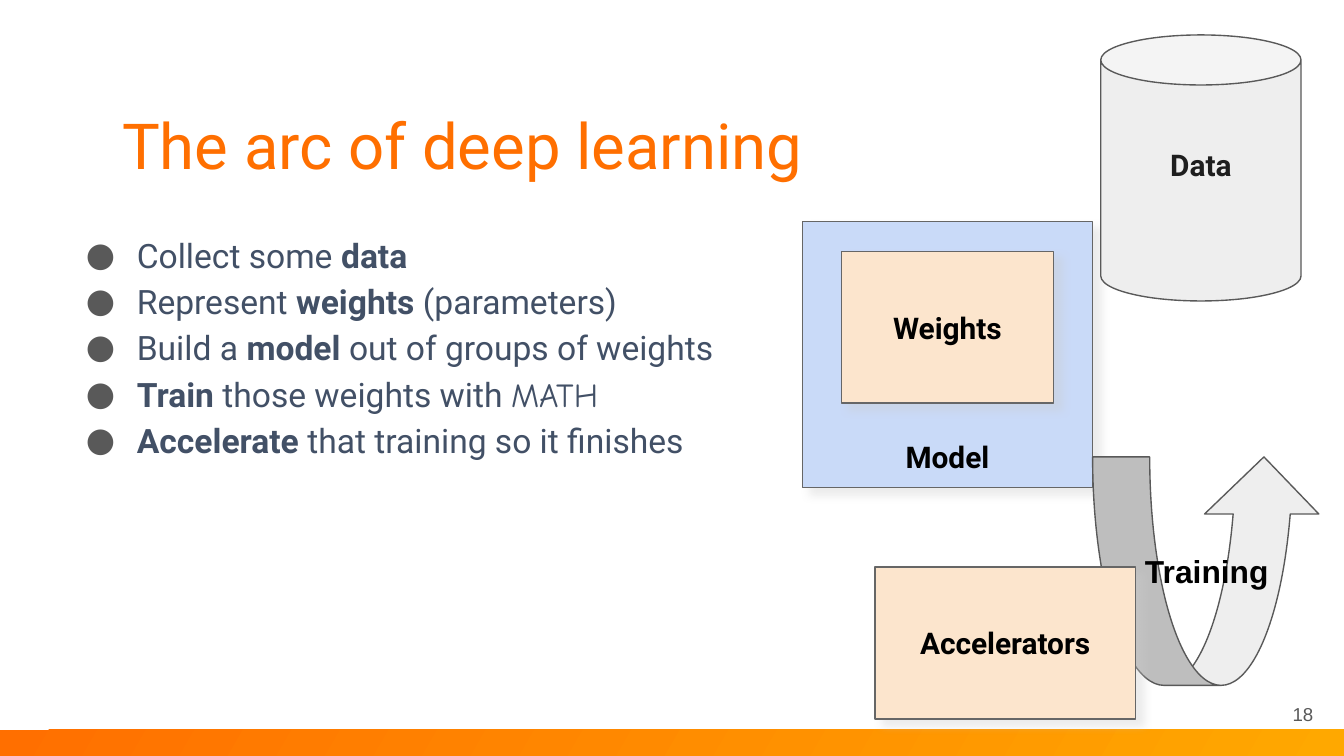
from lxml.etree import SubElement
from pptx import Presentation
from pptx.dml.color import RGBColor
from pptx.enum.shapes import MSO_SHAPE as Shape
from pptx.enum.text import MSO_ANCHOR as Anchor, PP_ALIGN as Align
from pptx.oxml.ns import qn
from pptx.util import Inches, Pt

ORANGE = RGBColor(0xFF, 0x6F, 0x00)
AMBER = RGBColor(0xFF, 0xA8, 0x00)
SLATE = RGBColor(0x42, 0x50, 0x66)
BLACK = RGBColor(0x00, 0x00, 0x00)
INK = RGBColor(0x1E, 0x1E, 0x1E)
GRAY = RGBColor(0x59, 0x59, 0x59)
EDGE = RGBColor(0x66, 0x66, 0x66)
SHADE = RGBColor(0xCC, 0xCC, 0xCC)
PALE = RGBColor(0xEE, 0xEE, 0xEE)
BLUE = RGBColor(0xC9, 0xDA, 0xF8)
PEACH = RGBColor(0xFC, 0xE5, 0xCD)

BULLETS = [
    [("Collect some", False), (" data", True)],
    [("Represent ", False), ("weights ", True), ("(parameters)", False)],
    [("Build a ", False), ("model ", True), ("out of groups of weights", False)],
    [("Train", True), (" those weights with ", False), ("MATH", False, "Comic Neue")],
    [("Accelerate", True), (" that training so it finishes", False)],
]


class SlideBuilder:
    font = "Roboto"
    inset = 0.1
    line_width = Pt(0.75)

    def __init__(self, page):
        self.page = page

    def frame(self, box, anchor, bottom=inset):
        frame = box.text_frame
        frame.word_wrap = True
        frame.vertical_anchor = anchor
        frame.margin_left = frame.margin_right = frame.margin_top = Inches(self.inset)
        frame.margin_bottom = Inches(bottom)
        return frame

    def style(self, para, size, color, bold=None, font=None):
        para.font.name = font or self.font
        para.font.size = Pt(size)
        para.font.color.rgb = color
        para.font.bold = bold

    def text(self, words, area, size, color, font=None, align=Align.LEFT, anchor=Anchor.TOP):
        box = self.page.shapes.add_textbox(*map(Inches, area))
        para = self.frame(box, anchor).paragraphs[0]
        para.text = words
        para.alignment = align
        self.style(para, size, color, font=font)

    def bullets(self, items, area, size, color, bullet_color):
        box = self.page.shapes.add_textbox(*map(Inches, area))
        frame = self.frame(box, Anchor.TOP)
        for index, item in enumerate(items):
            para = frame.add_paragraph() if index else frame.paragraphs[0]
            para.line_spacing = 1.15
            props = para._p.get_or_add_pPr()
            props.set("marL", str(Inches(0.5)))
            props.set("indent", str(Inches(-0.38)))
            tint = SubElement(props, qn("a:buClr"))
            SubElement(tint, qn("a:srgbClr"), val=str(bullet_color))
            SubElement(props, qn("a:buSzPts"), val=str(size * 100))
            SubElement(props, qn("a:buFont"), typeface=self.font)
            SubElement(props, qn("a:buChar"), char="●")
            self.style(para, size, color)
            for words, bold, *font in item:
                span = para.add_run()
                span.text = words
                span.font.bold = bold
                if font:
                    span.font.name = font[0]

    def shape(self, kind, label, area, fill, line, size=16, color=BLACK,
              font=None, anchor=Anchor.MIDDLE, bottom=inset):
        box = self.page.shapes.add_shape(kind, *map(Inches, area))
        box.shadow.inherit = False
        box.fill.solid()
        box.fill.fore_color.rgb = fill
        box.line.color.rgb = line
        box.line.width = self.line_width
        para = self.frame(box, anchor, bottom).paragraphs[0]
        para.text = label
        para.alignment = Align.CENTER
        self.style(para, size, color, True, font)
        return box

    def card(self, label, area, fill, anchor=Anchor.MIDDLE):
        box = self.shape(Shape.RECTANGLE, label, area, fill, EDGE, anchor=anchor)
        effects = box._element.spPr.find(qn("a:effectLst"))
        shadow = SubElement(effects, qn("a:outerShdw"), blurRad=str(Pt(4.5)),
                            dist=str(Pt(5.2)), dir=str(40 * 60000),
                            algn="bl", rotWithShape="0")
        tint = SubElement(shadow, qn("a:srgbClr"), val=str(SHADE))
        SubElement(tint, qn("a:alpha"), val="36000")

    def gradient_bar(self, area, colors, angle):
        bar = self.page.shapes.add_shape(Shape.RECTANGLE, *map(Inches, area))
        bar.shadow.inherit = False
        bar.line.fill.background()
        bar.fill.gradient()
        bar.fill.gradient_angle = angle
        for position, (stop, color) in enumerate(zip(bar.fill.gradient_stops, colors)):
            stop.position = position
            stop.color.rgb = color


def main():
    deck = Presentation()
    deck.slide_width = Inches(10)
    deck.slide_height = deck.slide_width * 9 // 16
    slide = SlideBuilder(deck.slides.add_slide(deck.slide_layouts[6]))

    slide.gradient_bar((0, 5.43, 10, 0.2), (ORANGE, AMBER), 330)
    slide.card("Model", (5.97, 1.65, 2.16, 1.98), BLUE, Anchor.BOTTOM)
    slide.text("The arc of deep learning", (0.81, 0.69, 8.35, 0.49), 34, ORANGE)
    slide.bullets(BULLETS, (0.42, 1.6, 7.96, 1.72), 18, SLATE, GRAY)
    slide.text("18", (9.27, 5.1, 0.6, 0.43), 10, GRAY, "Arial", Align.RIGHT, Anchor.MIDDLE)
    slide.card("Weights", (6.26, 1.87, 1.58, 1.13), PEACH)
    slide.shape(Shape.CAN, "Data", (8.19, 0.26, 1.49, 1.98), PALE, GRAY,
                color=INK, bottom=0.33)
    slide.shape(Shape.CURVED_UP_ARROW, "Training", (8.13, 3.4, 1.7, 1.7), PALE, GRAY,
                size=17, font="Arial")
    slide.card("Accelerators", (6.51, 4.22, 1.94, 1.13), PEACH)

    deck.save("out.pptx")


if __name__ == "__main__":
    main()
